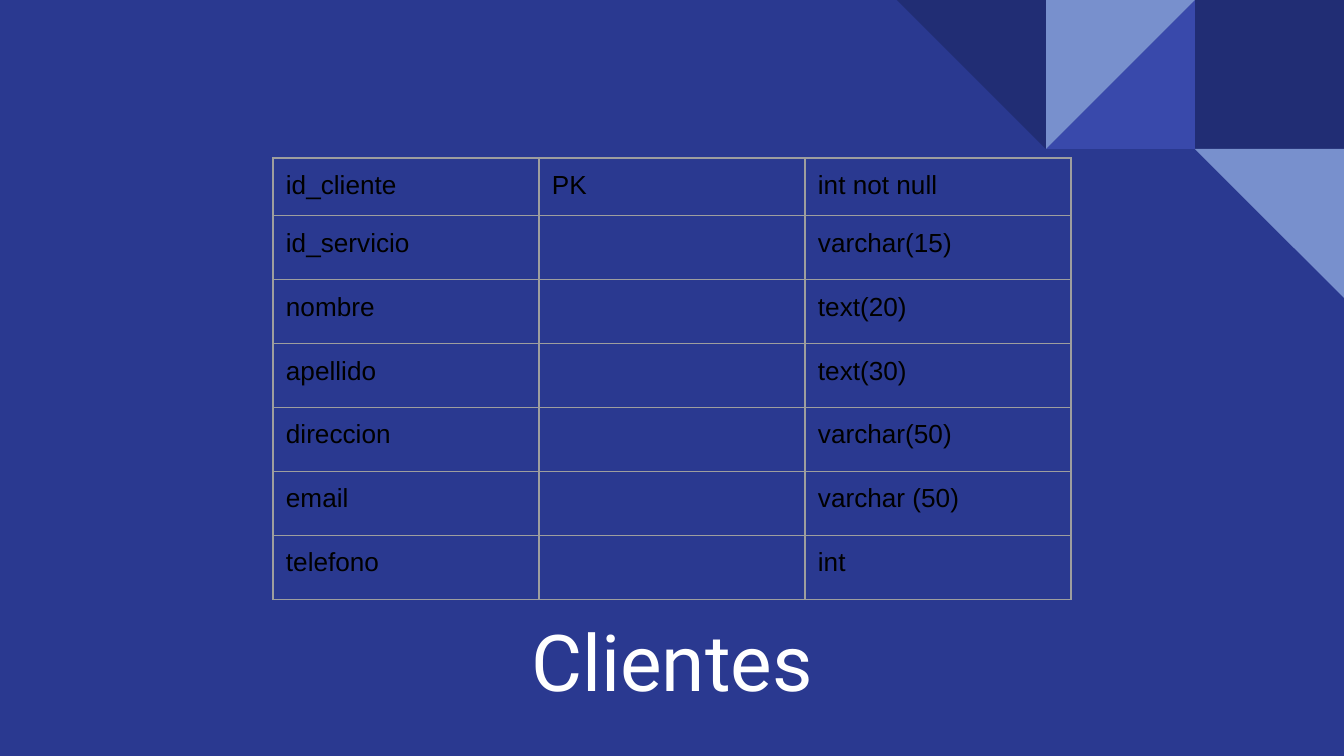
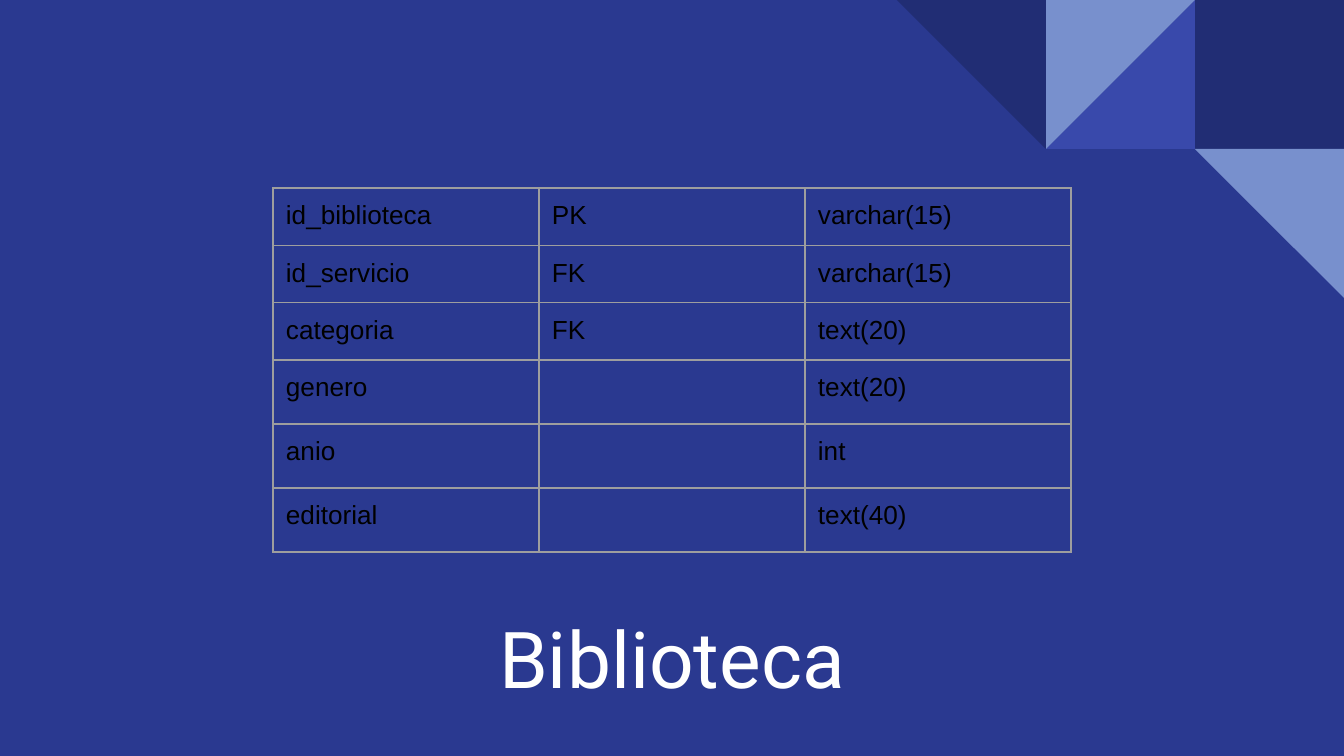
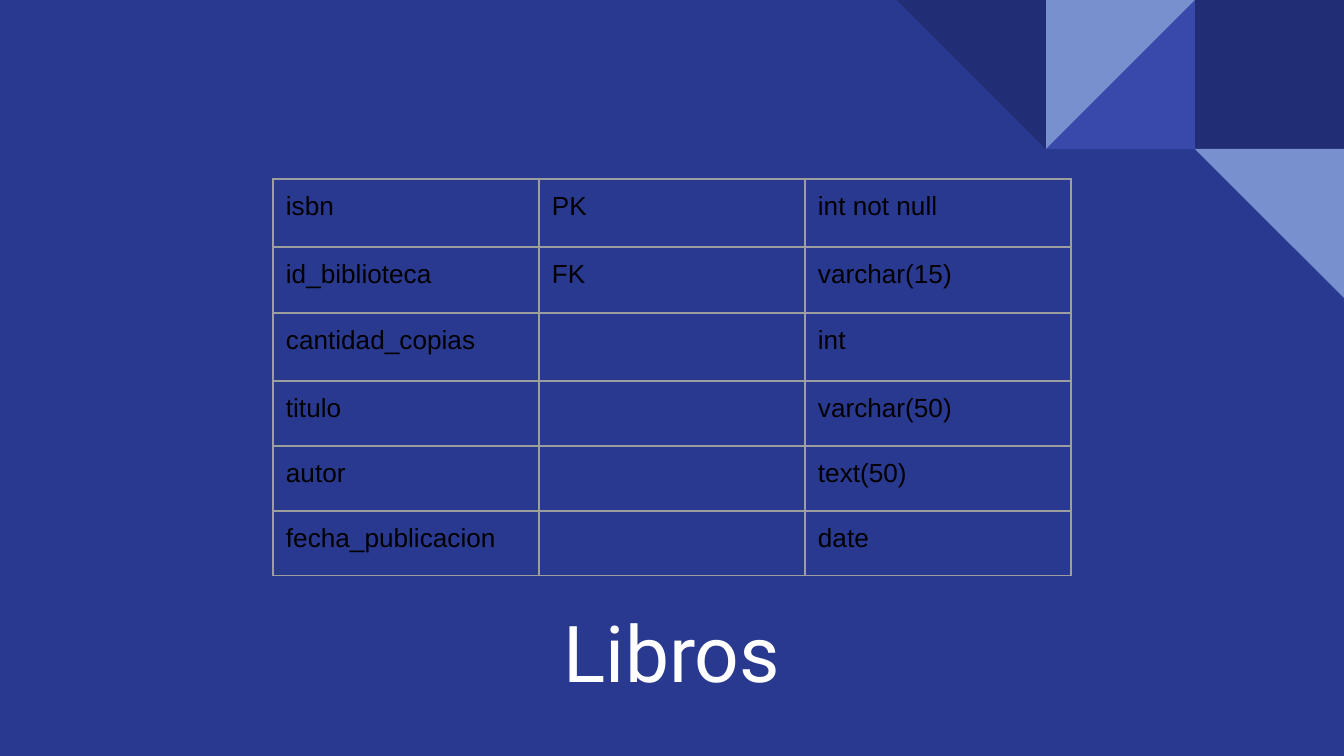
import pptx
import pptx.dml.color
import pptx.enum.shapes
import pptx.enum.text
import pptx.oxml
import pptx.oxml.ns
import pptx.util

RGBColor = pptx.dml.color.RGBColor
SHAPE = pptx.enum.shapes.MSO_SHAPE
ANCHOR = pptx.enum.text.MSO_ANCHOR

BACKGROUND = RGBColor(0x2A, 0x39, 0x90)
NAVY = RGBColor(0x21, 0x2D, 0x74)
INDIGO = RGBColor(0x39, 0x49, 0xAB)
LIGHT_BLUE = RGBColor(0x78, 0x90, 0xCD)
WHITE = RGBColor(0xFF, 0xFF, 0xFF)
BLACK = RGBColor(0x00, 0x00, 0x00)
GRID_GREY = RGBColor(0x9E, 0x9E, 0x9E)

WIDTH, HEIGHT = 1344, 756
TILE = 149
TABLE_LEFT, COLUMN_WIDTH = 273, 266
TITLE_HEIGHT = 124
INSET = 13


def px(length):
    return pptx.util.Emu(round(length * 9144000 / WIDTH))


def style_text(frame, size, font_name, color):
    frame.margin_left = frame.margin_right = px(INSET)
    frame.margin_top = frame.margin_bottom = px(INSET)
    font = frame.paragraphs[0].font
    font.size = pptx.util.Pt(size)
    font.name = font_name
    font.color.rgb = color


# Corner mosaic: shape, tiles from the right edge, tile row, rotation, colour
MOSAIC = [
    (SHAPE.RECTANGLE, 1, 0, 0, NAVY),
    (SHAPE.RIGHT_TRIANGLE, 2, 0, 270, INDIGO),
    (SHAPE.RIGHT_TRIANGLE, 2, 0, 90, LIGHT_BLUE),
    (SHAPE.RIGHT_TRIANGLE, 3, 0, 180, NAVY),
    (SHAPE.RIGHT_TRIANGLE, 1, 1, 180, LIGHT_BLUE),
]

# Entities: title, its top, width and anchor, table top, row heights, fields
ENTITIES = [
    ("Clientes", 598, 456, ANCHOR.MIDDLE, 158, [56] + [64] * 6, [
        ("id_cliente", "PK", "int not null"),
        ("id_servicio", "", "varchar(15)"),
        ("nombre", "", "text(20)"),
        ("apellido", "", "text(30)"),
        ("direccion", "", "varchar(50)"),
        ("email", "", "varchar (50)"),
        ("telefono", "", "int"),
    ]),
    ("Biblioteca", 593, 496, ANCHOR.BOTTOM, 188, [56] * 3 + [64] * 3, [
        ("id_biblioteca", "PK", "varchar(15)"),
        ("id_servicio", "FK", "varchar(15)"),
        ("categoria", "FK", "text(20)"),
        ("genero", "", "text(20)"),
        ("anio", "", "int"),
        ("editorial", "", "text(40)"),
    ]),
    ("Libros", 589, 296, ANCHOR.MIDDLE, 179, [68, 66, 68, 65, 65, 65], [
        ("isbn", "PK", "int not null"),
        ("id_biblioteca", "FK", "varchar(15)"),
        ("cantidad_copias", "", "int"),
        ("titulo", "", "varchar(50)"),
        ("autor", "", "text(50)"),
        ("fecha_publicacion", "", "date"),
    ]),
]

deck = pptx.Presentation()
deck.slide_width, deck.slide_height = px(WIDTH), px(HEIGHT)

for name, title_top, title_width, anchor, table_top, heights, fields in ENTITIES:
    slide = deck.slides.add_slide(deck.slide_layouts[6])
    slide.background.fill.solid()
    slide.background.fill.fore_color.rgb = BACKGROUND

    # Corner mosaic
    for preset, from_right, row, rotation, color in MOSAIC:
        tile = slide.shapes.add_shape(
            preset, px(WIDTH - from_right * TILE), px(row * TILE), px(TILE), px(TILE))
        tile.rotation = rotation
        tile.shadow.inherit = False
        tile.fill.solid()
        tile.fill.fore_color.rgb = color
        tile.line.fill.background()

    # Title, centred on the slide
    title = slide.shapes.add_textbox(
        px((WIDTH - title_width) / 2), px(title_top), px(title_width), px(TITLE_HEIGHT)).text_frame
    title.word_wrap = True
    title.vertical_anchor = anchor
    title.text = name
    title.paragraphs[0].alignment = pptx.enum.text.PP_ALIGN.CENTER
    style_text(title, 42, "Roboto", WHITE)

    # Field table
    field_table = slide.shapes.add_table(
        len(fields), 3, px(TABLE_LEFT), px(table_top), px(3 * COLUMN_WIDTH), px(sum(heights))).table
    field_table.first_row = field_table.horz_banding = False
    for column in field_table.columns:
        column.width = px(COLUMN_WIDTH)
    for table_row, height, field in zip(field_table.rows, heights, fields):
        table_row.height = px(height)
        for cell, text in zip(table_row.cells, field):
            cell.text = text
            style_text(cell.text_frame, 14, "Arial", BLACK)
            cell.margin_left = cell.margin_right = px(INSET)
            cell.margin_top = cell.margin_bottom = px(INSET)
            cell.fill.background()
            # Borders come before the fill in the cell properties
            properties = cell._tc.get_or_add_tcPr()
            for position, side in enumerate("LRTB"):
                properties.insert(position, pptx.oxml.parse_xml(
                    f'<a:ln{side} {pptx.oxml.ns.nsdecls("a")} w="9525"><a:solidFill>'
                    f'<a:srgbClr val="{GRID_GREY}"/></a:solidFill></a:ln{side}>'))

deck.save("out.pptx")
